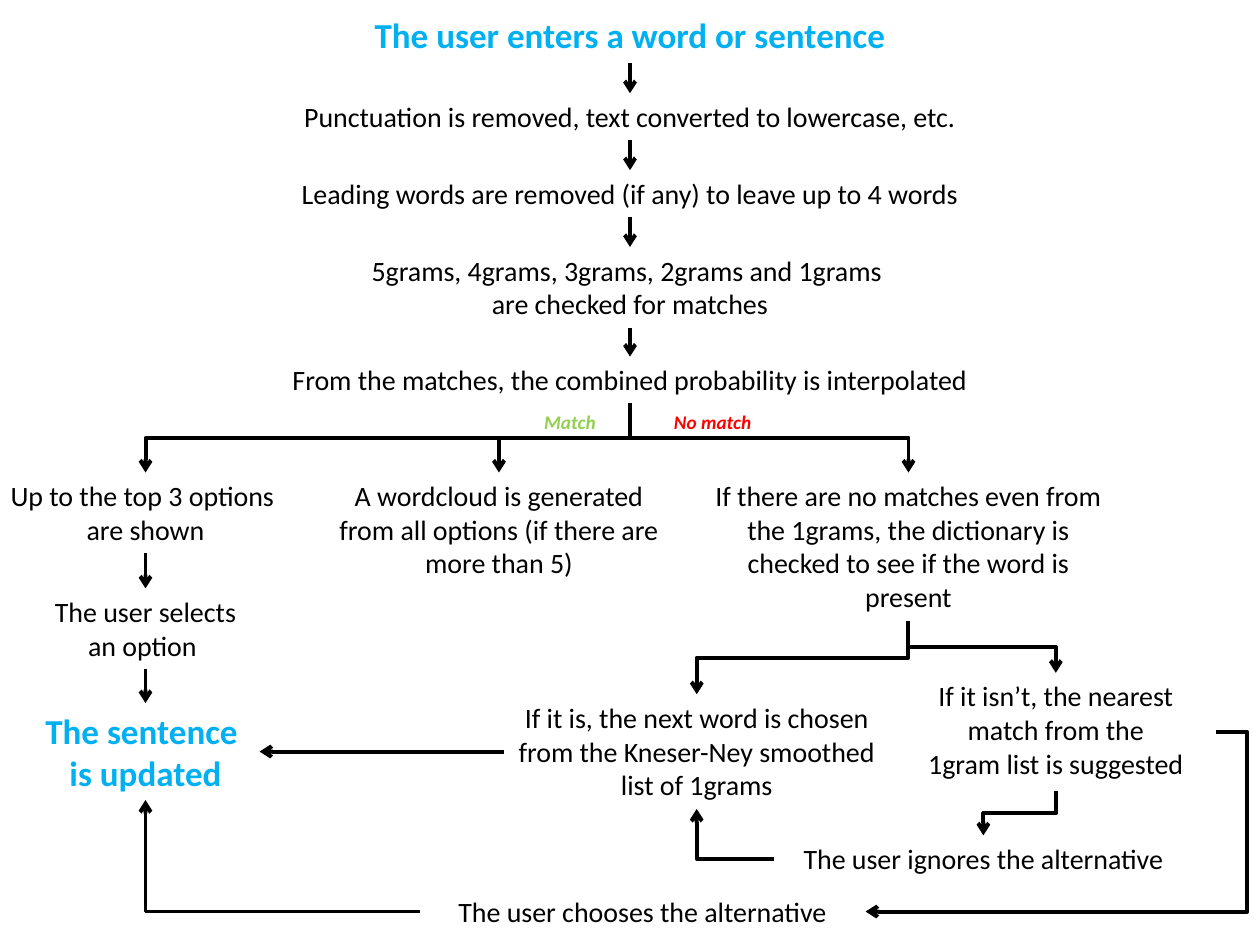
from lxml import etree
from pptx import Presentation
from pptx import util as u
from pptx.dml.color import RGBColor
from pptx.enum import shapes, text
from pptx.oxml.ns import qn

TOP, LEFT, BOTTOM, RIGHT = range(4)
STEP = {"size": 16, "color": "000000", "align": text.PP_ALIGN.CENTER}
KEY = {**STEP, "size": 20, "color": "00B0F0", "bold": True}
LABEL = {"size": 11, "bold": True, "italic": True, "align": text.PP_ALIGN.LEFT}

STEPS = {
    "clean": (0, 0.74, 10, 0.37, ["Punctuation is removed, text converted to lowercase, etc."]),
    "trim": (0, 1.35, 10, 0.37, ["Leading words are removed (if any) to leave up to 4 words"]),
    "check": (0, 1.96, 10, 0.64, ["5grams, 4grams, 3grams, 2grams and 1grams ",
                                  "are checked for matches"]),
    "interpolate": (0, 2.83, 10, 0.37,
                    ["From the matches, the combined probability is interpolated"]),
    "dictionary": (5.48, 3.75, 3.46, 1.18,
                   ["If there are no matches even from the 1grams, the dictionary is "
                    "checked to see if the word is present"]),
    "nearest": (7.11, 5.34, 2.54, 0.94, ["If it isn’t, the nearest match from the",
                                         "1gram list is suggested"]),
    "choose": (3.33, 7.05, 3.54, 0.37, ["The user chooses the alternative"]),
    "ignore": (6.14, 6.63, 3.33, 0.37, ["The user ignores the alternative"]),
    "next": (4, 5.51, 3.06, 0.91,
             ["If it is, the next word is chosen from the Kneser-Ney smoothed list of 1grams"]),
    "cloud": (2.5, 3.75, 2.92, 0.91,
              ["A wordcloud is generated from all options (if there are more than 5)"]),
    "options": (-0.18, 3.75, 2.67, 0.64, ["Up to the top 3 options ", "are shown"]),
    "select": (0.25, 4.67, 1.81, 0.64, ["The user selects an option "]),
}

STRAIGHT = [
    ("enter", BOTTOM, "clean", TOP),
    ("clean", BOTTOM, "trim", TOP),
    ("trim", BOTTOM, "check", TOP),
    ("check", BOTTOM, "interpolate", TOP),
    ("options", BOTTOM, "select", TOP),
    ("select", BOTTOM, "update", TOP),
    ("next", LEFT, "update", RIGHT),
]
BENT = [
    ("dictionary", BOTTOM, "nearest", TOP),
    ("nearest", BOTTOM, "ignore", TOP),
    ("ignore", LEFT, "next", BOTTOM),
    ("choose", LEFT, "update", BOTTOM),
    ("dictionary", BOTTOM, "next", TOP),
    ("nearest", RIGHT, "choose", RIGHT),
    ("interpolate", BOTTOM, "dictionary", TOP),
    ("interpolate", BOTTOM, "cloud", TOP),
    ("interpolate", BOTTOM, "options", TOP),
]


def rgb(color):
    """Return the colour of a hex string."""
    return RGBColor.from_string(color)


def fill_text(sp, lines, fmt, wrap=True):
    """Write formatted paragraphs into a shape."""
    tf = sp.text_frame
    tf.word_wrap = wrap
    tf.auto_size = text.MSO_AUTO_SIZE.SHAPE_TO_FIT_TEXT
    tf.vertical_anchor = text.MSO_ANCHOR.TOP
    for i, line in enumerate(lines):
        p = tf.add_paragraph() if i else tf.paragraphs[0]
        p.alignment = fmt["align"]
        r = p.add_run()
        r.text = line
        values = {"name": "Calibri", "size": u.Pt(fmt["size"]),
                  "bold": fmt.get("bold"), "italic": fmt.get("italic")}
        for name, value in values.items():
            setattr(r.font, name, value)
        r.font.color.rgb = rgb(fmt["color"])


def add_title(s, x, y, w, h, line):
    """Place and format the title placeholder."""
    sp = s.shapes.title
    for name, value in {"left": x, "top": y, "width": w, "height": h}.items():
        setattr(sp, name, u.Inches(value))
    fill_text(sp, [line], KEY)
    return sp


def add_text(s, x, y, w, h, lines, fmt=STEP, wrap=True):
    """Add a text box."""
    sp = s.shapes.add_textbox(*map(u.Inches, (x, y, w, h)))
    fill_text(sp, lines, fmt, wrap)
    return sp


def add_arrow(s, start, start_side, end, end_side, kind=shapes.MSO_CONNECTOR.STRAIGHT):
    """Join two shapes with an arrow."""
    c = s.shapes.add_connector(kind, 0, 0, 0, 0)
    c.begin_connect(start, start_side)
    c.end_connect(end, end_side)
    c.line.color.rgb = rgb("000000")
    c.line.width = u.Pt(2.25)
    sp_pr = c.element.spPr
    etree.SubElement(sp_pr.find(qn("a:ln")), qn("a:tailEnd"), type="arrow")
    etree.SubElement(sp_pr, qn("a:effectLst"))
    return c


def turn_downward(c):
    """Rotate an elbow so that it leaves its start vertically."""
    xfrm = c.element.spPr.find(qn("a:xfrm"))
    goes_right = c.end_x > c.begin_x
    x, y, w, h = c.left, c.top, c.width, c.height
    c.left, c.top = x + (w - h) // 2, y + (h - w) // 2
    c.width, c.height = h, w
    xfrm.set("rot", str((270 if goes_right else 90) * 60000))
    xfrm.set("flipH", str(int(goes_right)))


def add_elbow(s, start, start_side, end, end_side):
    """Join two shapes with a bent arrow suited to their sides."""
    c = add_arrow(s, start, start_side, end, end_side, shapes.MSO_CONNECTOR.ELBOW)
    geom = c.element.spPr.find(qn("a:prstGeom"))
    if start_side == BOTTOM:
        turn_downward(c)
    elif end_side == BOTTOM:
        geom.set("prst", "bentConnector2")
    else:
        guides = geom.find(qn("a:avLst"))
        etree.SubElement(guides, qn("a:gd"), name="adj1", fmla="val -9000")


def main():
    """Build the flowchart slide."""
    prs = Presentation()
    prs.slide_width, prs.slide_height = u.Inches(10), u.Inches(7.5)
    s = prs.slides.add_slide(prs.slide_layouts[5])

    nodes = {"enter": add_title(s, 0, 0.06, 10, 0.44, "The user enters a word or sentence")}
    for name, step in STEPS.items():
        nodes[name] = add_text(s, *step)
    nodes["update"] = add_text(s, 0.25, 5.58, 1.81, 0.77,
                               ["The sentence ", "is updated"], KEY, wrap=False)

    for draw, links in ((add_arrow, STRAIGHT), (add_elbow, BENT)):
        for start, start_side, end, end_side in links:
            draw(s, nodes[start], start_side, nodes[end], end_side)

    for x, w, label, color in ((4.22, 0.62, "Match", "92D050"),
                               (5.25, 0.82, "No match", "FF0000")):
        add_text(s, x, 3.21, w, 0.29, [label], {**LABEL, "color": color}, wrap=False)

    prs.save("out.pptx")


if __name__ == "__main__":
    main()
